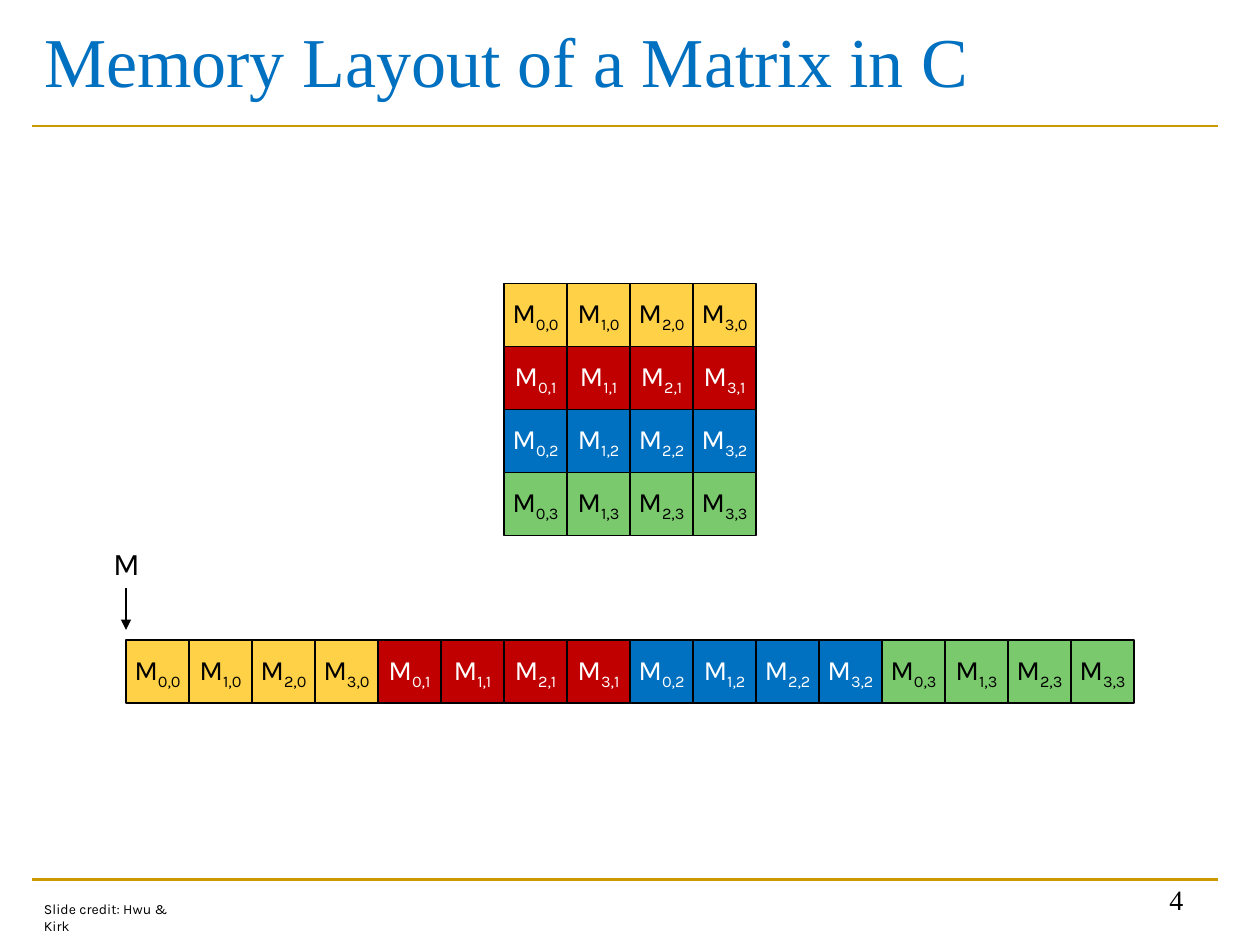
import pptx
import pptx.util
import pptx.dml.color
import pptx.enum.shapes
import pptx.enum.text
from lxml import etree
from pptx.oxml.ns import qn

Inches, Pt = pptx.util.Inches, pptx.util.Pt
ALIGN, ANCHOR = pptx.enum.text.PP_ALIGN, pptx.enum.text.MSO_ANCHOR

TITLE = "Memory Layout of a Matrix in C"
ROWS = [("FFD147", "000000"), ("C00000", "FFFFFF"), ("0070C0", "FFFFFF"), ("7AC96C", "000000")]
COLUMNS = 4
CELL = 0.5
MATRIX_AT = (4, 2.25)
MEMORY_AT = (1, 5.08)
RULES = [1, 6.98]
LABELS = [
    ("M", (0.8, 4.27, 0.5, 0.5), 18, "Karla", ALIGN.LEFT, ANCHOR.TOP),
    ("4", (7.41, 6.82, 2.08, 0.5), 16, "Times New Roman", ALIGN.RIGHT, ANCHOR.BOTTOM),
    ("Slide credit: Hwu & Kirk", (0.25, 7.1, 1.39, 0.24), 8, "Karla", ALIGN.LEFT, ANCHOR.TOP),
]


def rgb(value):
    return pptx.dml.color.RGBColor.from_string(value)


def style(p, size, font, color, align):
    p.alignment = align
    p.font.size, p.font.name = Pt(size), font
    p.font.color.rgb = rgb(color)


def write(sp, text, size, font, color, align, anchor):
    tf = sp.text_frame
    tf.text, tf.word_wrap, tf.vertical_anchor = text, True, anchor
    style(tf.paragraphs[0], size, font, color, align)


def add_line(s, x1, y1, x2, y2, color, width, arrow=False):
    line = s.shapes.add_connector(
        pptx.enum.shapes.MSO_CONNECTOR.STRAIGHT, *map(Inches, (x1, y1, x2, y2)))
    line.line.color.rgb, line.line.width = rgb(color), Pt(width)
    if arrow:
        etree.SubElement(line.line._get_or_add_ln(), qn("a:tailEnd"), type="triangle")
    etree.SubElement(line._element.spPr, qn("a:effectLst"))


def add_cell(s, x, y, col, row):
    fill, color = ROWS[row]
    sp = s.shapes.add_shape(
        pptx.enum.shapes.MSO_SHAPE.RECTANGLE, *map(Inches, (x, y, CELL, CELL)))
    sp.shadow.inherit = False
    sp.fill.solid()
    sp.fill.fore_color.rgb = rgb(fill)
    sp.line.color.rgb, sp.line.width = rgb("000000"), Pt(0.75)
    write(sp, "M", 16, "Karla", color, ALIGN.CENTER, ANCHOR.MIDDLE)
    sp.text_frame.word_wrap = False
    r = sp.text_frame.paragraphs[0].add_run()
    r.text = f"{col},{row}"
    r.font._element.set("baseline", "-25000")


def main():
    """Build the slide on the row-major memory layout of a matrix."""
    prs = pptx.Presentation()
    prs.slide_width, prs.slide_height = Inches(10), Inches(7.5)
    s = prs.slides.add_slide(prs.slide_layouts[5])

    title = s.shapes.title
    title.left, title.top, title.width, title.height = map(Inches, (0.25, -0.03, 9, 1))
    write(title, TITLE, 40, "Times New Roman", "0070C0", ALIGN.LEFT, ANCHOR.MIDDLE)

    for y in RULES:
        add_line(s, 0.25, y, 9.67, y, "CC9900", 1.5)

    for row in range(len(ROWS)):
        for col in range(COLUMNS):
            add_cell(s, MATRIX_AT[0] + col * CELL, MATRIX_AT[1] + row * CELL, col, row)
            add_cell(s, MEMORY_AT[0] + (row * COLUMNS + col) * CELL, MEMORY_AT[1], col, row)

    add_line(s, 1, 4.67, 1, 5, "000000", 0.75, arrow=True)
    for text, at, size, font, align, anchor in LABELS:
        write(s.shapes.add_textbox(*map(Inches, at)), text, size, font, "000000", align, anchor)

    prs.save("out.pptx")


if __name__ == "__main__":
    main()
